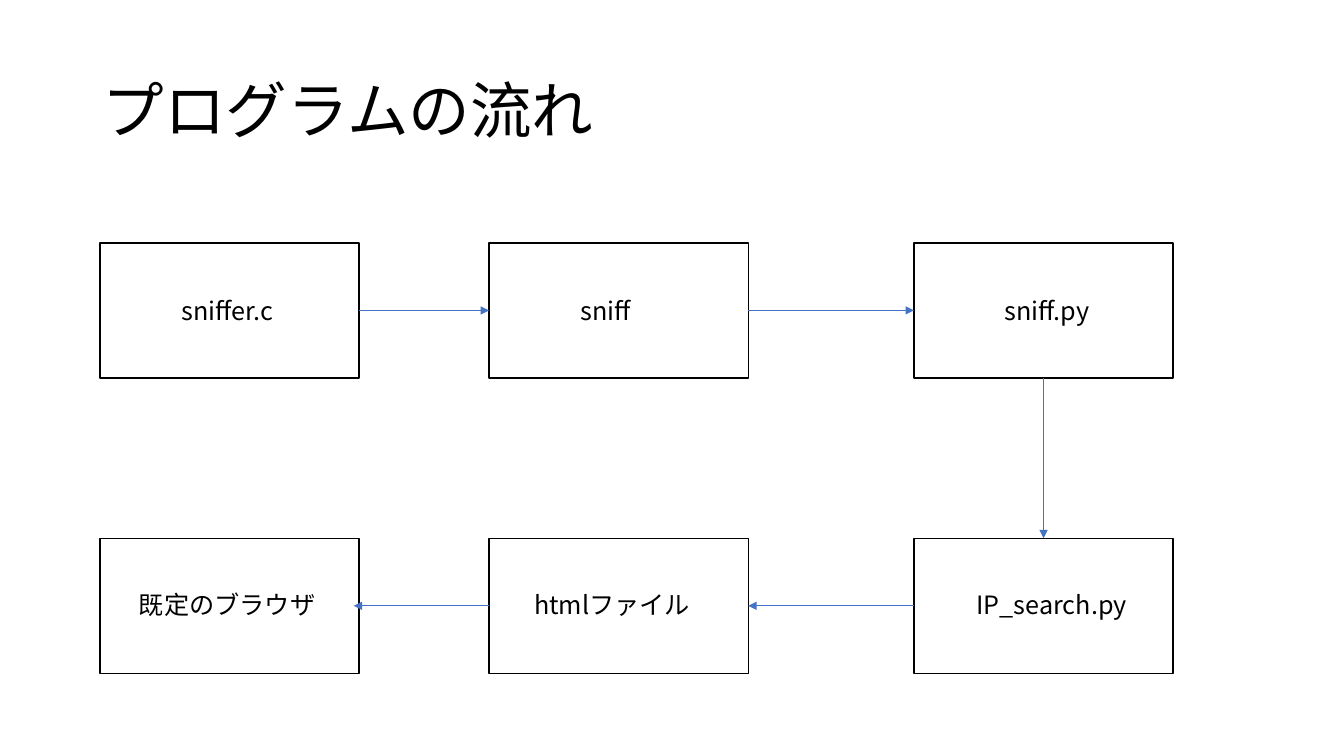
import pptx
import pptx.dml.color
import pptx.enum.shapes
import pptx.enum.text
import pptx.oxml.ns
import pptx.util
from lxml import etree

Pt = pptx.util.Pt
FONT = "Noto Sans CJK JP"
COLORS = {"text": "000000", "box": "FFFFFF", "border": "000000", "arrow": "4472C4"}
TOP, LEFT, BOTTOM, RIGHT = range(4)

# Grid of boxes
COLUMNS = (71.3, 349.3, 652.8)
ROWS = (173.5, 384.5)
BOX_WIDTH, BOX_HEIGHT = 185.2, 96.5
LABEL_HEIGHT = 29

# Step: column, row, label left, label width
STEPS = {
    "sniffer.c": (0, 0, 122.4, 109.4),
    "sniff": (1, 0, 407.5, 69.1),
    "sniff.py": (2, 0, 710.6, 82.1),
    "IP_search.py": (2, 1, 690.5, 123.1),
    "htmlファイル": (1, 1, 374.4, 130.3),
    "既定のブラウザ": (0, 1, 92.2, 158.4),
}
LABEL_TOPS = (207.4, 417.6)

# Arrow: start step, side, end step, side
ARROWS = (
    ("sniffer.c", RIGHT, "sniff", LEFT),
    ("sniff", RIGHT, "sniff.py", LEFT),
    ("sniff.py", BOTTOM, "IP_search.py", TOP),
    ("IP_search.py", LEFT, "htmlファイル", RIGHT),
)
LAST_ARROW_END = 252.7


def color(name):
    return pptx.dml.color.RGBColor.from_string(COLORS[name])


def write(shape, text, size):
    para = shape.text_frame.paragraphs[0]
    para.text = text
    para.alignment = pptx.enum.text.PP_ALIGN.LEFT
    font = para.runs[0].font
    font.size = Pt(size)
    font.color.rgb = color("text")
    font.name = FONT
    # East Asian typeface
    properties = para.runs[0]._r.get_or_add_rPr()
    etree.SubElement(properties, pptx.oxml.ns.qn("a:ea"), typeface=FONT)
    return para


def add_title(page, text):
    title = page.shapes.title
    title.left, title.top, title.width, title.height = Pt(66), Pt(28.8), Pt(828), Pt(104.4)
    title.text_frame.vertical_anchor = pptx.enum.text.MSO_ANCHOR.MIDDLE
    write(title, text, 44).line_spacing = 0.9


def add_box(page, column, row):
    box = page.shapes.add_shape(
        pptx.enum.shapes.MSO_SHAPE.RECTANGLE,
        Pt(COLUMNS[column]), Pt(ROWS[row]), Pt(BOX_WIDTH), Pt(BOX_HEIGHT))
    box.shadow.inherit = False
    box.fill.solid()
    box.fill.fore_color.rgb = color("box")
    box.line.color.rgb = color("border")
    box.line.width = Pt(1)
    return box


def add_label(page, text, left, top, width):
    label = page.shapes.add_textbox(Pt(left), Pt(top), Pt(width), Pt(LABEL_HEIGHT))
    label.text_frame.word_wrap = True
    label.text_frame.auto_size = pptx.enum.text.MSO_AUTO_SIZE.SHAPE_TO_FIT_TEXT
    write(label, text, 18)


def add_arrow(page, start, start_side, end_x=0, end_y=0):
    arrow = page.shapes.add_connector(
        pptx.enum.shapes.MSO_CONNECTOR.STRAIGHT, 0, 0, Pt(end_x), Pt(end_y))
    arrow.begin_connect(start, start_side)
    arrow.line.color.rgb = color("arrow")
    arrow.line.width = Pt(0.5)
    line = arrow.line._get_or_add_ln()
    etree.SubElement(line, pptx.oxml.ns.qn("a:tailEnd"), type="triangle")
    etree.SubElement(arrow._element.spPr, pptx.oxml.ns.qn("a:effectLst"))
    return arrow


def main():
    deck = pptx.Presentation()
    deck.slide_width, deck.slide_height = Pt(960), Pt(540)
    page = deck.slides.add_slide(deck.slide_layouts[5])
    add_title(page, "プログラムの流れ")

    # Boxes with their labels
    boxes = {}
    for text, (column, row, left, width) in STEPS.items():
        boxes[text] = add_box(page, column, row)
        add_label(page, text, left, LABEL_TOPS[row], width)

    # Flow arrows; the last one reaches slightly into its box
    for start, start_side, end, end_side in ARROWS:
        add_arrow(page, boxes[start], start_side).end_connect(boxes[end], end_side)
    add_arrow(page, boxes["htmlファイル"], LEFT, LAST_ARROW_END, ROWS[1] + BOX_HEIGHT / 2)

    deck.save("out.pptx")


if __name__ == "__main__":
    main()
